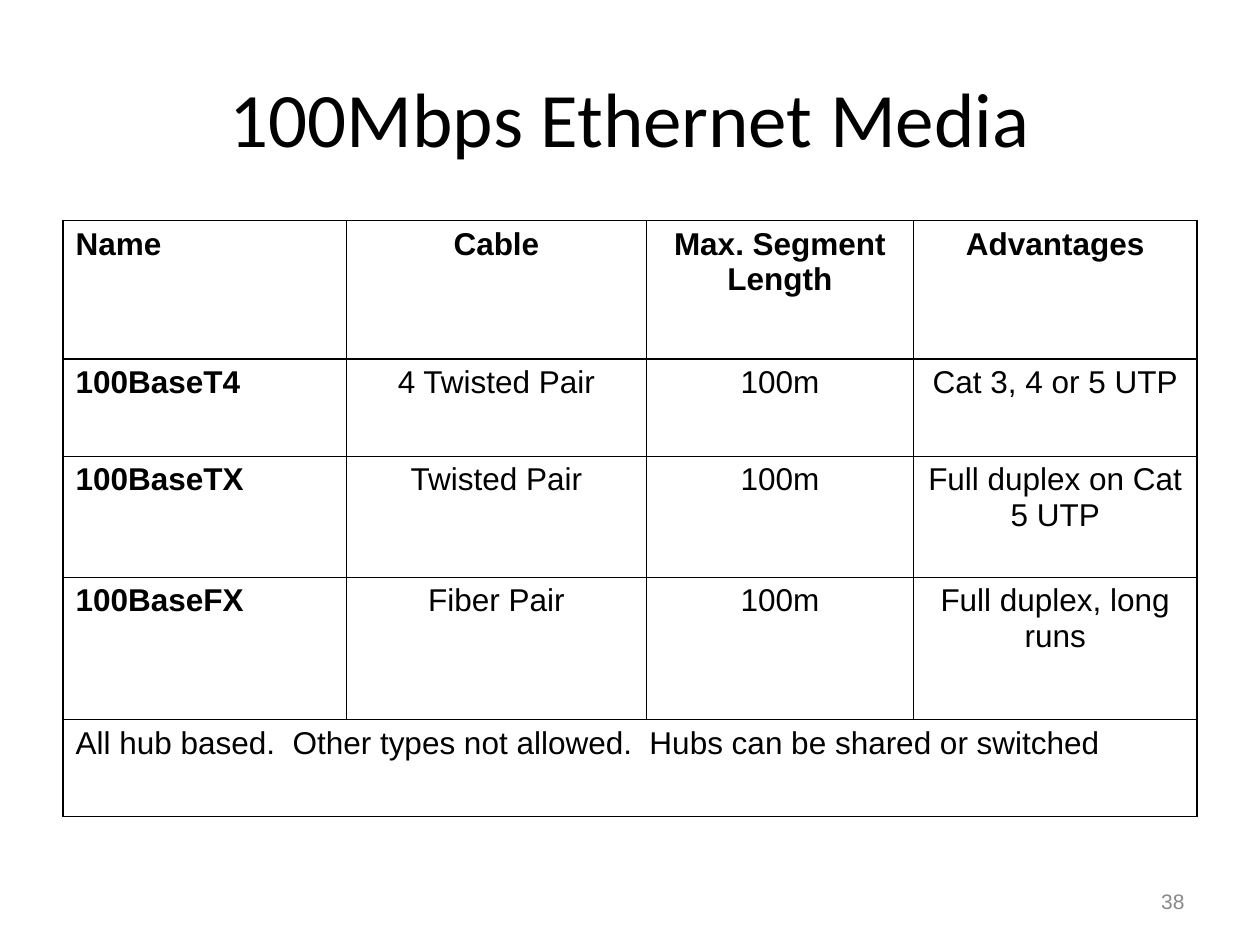
from dataclasses import dataclass

from lxml.etree import SubElement
from pptx import Presentation
from pptx.dml.color import RGBColor
from pptx.enum.text import MSO_ANCHOR as Anchor, PP_ALIGN as Align
from pptx.oxml.ns import qn
from pptx.util import Inches, Pt

COLORS = {"ink": "000000", "paper": "FFFFFF", "number": "898989"}
WIDTH, HEIGHT = 10, 7.5
MARGIN = 0.05 * WIDTH
THICK, THIN = 1.08, 0.45

COLUMNS = [2.25, 2.38, 2.12, 2.25]
ROWS = [1.1, 0.77, 0.96, 1.13, 0.77]
MEDIA = [
    ["Name", "Cable", "Max. Segment Length", "Advantages"],
    ["100BaseT4", "4 Twisted Pair", "100m", "Cat 3, 4 or 5 UTP"],
    ["100BaseTX", "Twisted Pair", "100m", "Full duplex on Cat 5 UTP"],
    ["100BaseFX", "Fiber Pair", "100m", "Full duplex, long runs"],
]
REMARK = "All hub based.  Other types not allowed.  Hubs can be shared or switched"


@dataclass
class TextStyle:
    size: float
    name: str = "Arial"
    color: str = "ink"
    bold: bool = False
    align: Align = Align.CENTER
    anchor: Anchor = Anchor.TOP


def write(frame, text: str, style: TextStyle) -> None:
    frame.word_wrap = True
    frame.vertical_anchor = style.anchor
    para = frame.paragraphs[0]
    para.alignment = style.align
    span = para.add_run()
    span.text = text
    formats = {"size": Pt(style.size), "name": style.name, "bold": style.bold}
    for key, value in formats.items():
        setattr(span.font, key, value)
    span.font.color.rgb = RGBColor.from_string(COLORS[style.color])


def place(box, left: float, top: float, width: float, height: float) -> None:
    lengths = {"left": left, "top": top, "width": width, "height": height}
    for key, value in lengths.items():
        setattr(box, key, Inches(value))


def draw_borders(cell, widths: dict[str, float]) -> None:
    properties = cell._tc.get_or_add_tcPr()
    for position, (side, width) in enumerate(widths.items()):
        line = SubElement(properties, qn(f"a:ln{side}"), w=str(Pt(width)))
        fill = SubElement(line, qn("a:solidFill"))
        SubElement(fill, qn("a:srgbClr"), val=COLORS["ink"])
        properties.insert(position, line)


def border_widths(row: int, first: int, last: int) -> dict[str, float]:
    """Heavy lines frame the table, the header row and the name column."""
    heavy = {
        "L": first <= 1,
        "R": last in (0, len(COLUMNS) - 1),
        "T": row <= 1,
        "B": row in (0, len(ROWS) - 1),
    }
    return {side: THICK if is_heavy else THIN for side, is_heavy in heavy.items()}


def add_media_table(page) -> None:
    frame = page.shapes.add_table(
        len(ROWS), len(COLUMNS), Inches(MARGIN), Inches(1.75),
        Inches(sum(COLUMNS)), Inches(sum(ROWS)))
    table = frame.table
    table.first_row = table.horz_banding = False
    for column, width in zip(table.columns, COLUMNS):
        column.width = Inches(width)
    for row, height in zip(table.rows, ROWS):
        row.height = Inches(height)

    # The remark spans the whole last row
    last_row, last_column = len(ROWS) - 1, len(COLUMNS) - 1
    remark = table.cell(last_row, 0)
    remark.merge(table.cell(last_row, last_column))
    write(remark.text_frame, REMARK, TextStyle(18, align=Align.LEFT))

    for r in range(len(ROWS)):
        for c in range(len(COLUMNS)):
            cell = table.cell(r, c)
            cell.fill.background()
            merged = r == last_row
            draw_borders(cell, border_widths(
                r, 0 if merged else c, last_column if merged else c))
            if not merged:
                write(cell.text_frame, MEDIA[r][c], TextStyle(
                    18, bold=r == 0 or c == 0,
                    align=Align.LEFT if c == 0 else Align.CENTER))


def main() -> None:
    deck = Presentation()
    deck.slide_width, deck.slide_height = Inches(WIDTH), Inches(HEIGHT)
    page = deck.slides.add_slide(deck.slide_layouts[5])
    page.background.fill.solid()
    page.background.fill.fore_color.rgb = RGBColor.from_string(COLORS["paper"])

    # Title
    title = page.shapes.title
    place(title, MARGIN, 0.04 * HEIGHT, WIDTH - 2 * MARGIN, 1.25)
    write(title.text_frame, "100Mbps Ethernet Media",
          TextStyle(44, "Calibri", anchor=Anchor.MIDDLE))

    # Media table
    add_media_table(page)

    # Slide number
    number = page.shapes.add_textbox(0, 0, 0, 0)
    place(number, 7.17, 6.95, 2.33, 0.4)
    write(number.text_frame, "38",
          TextStyle(12, color="number", align=Align.RIGHT, anchor=Anchor.MIDDLE))

    deck.save("out.pptx")


if __name__ == "__main__":
    main()
